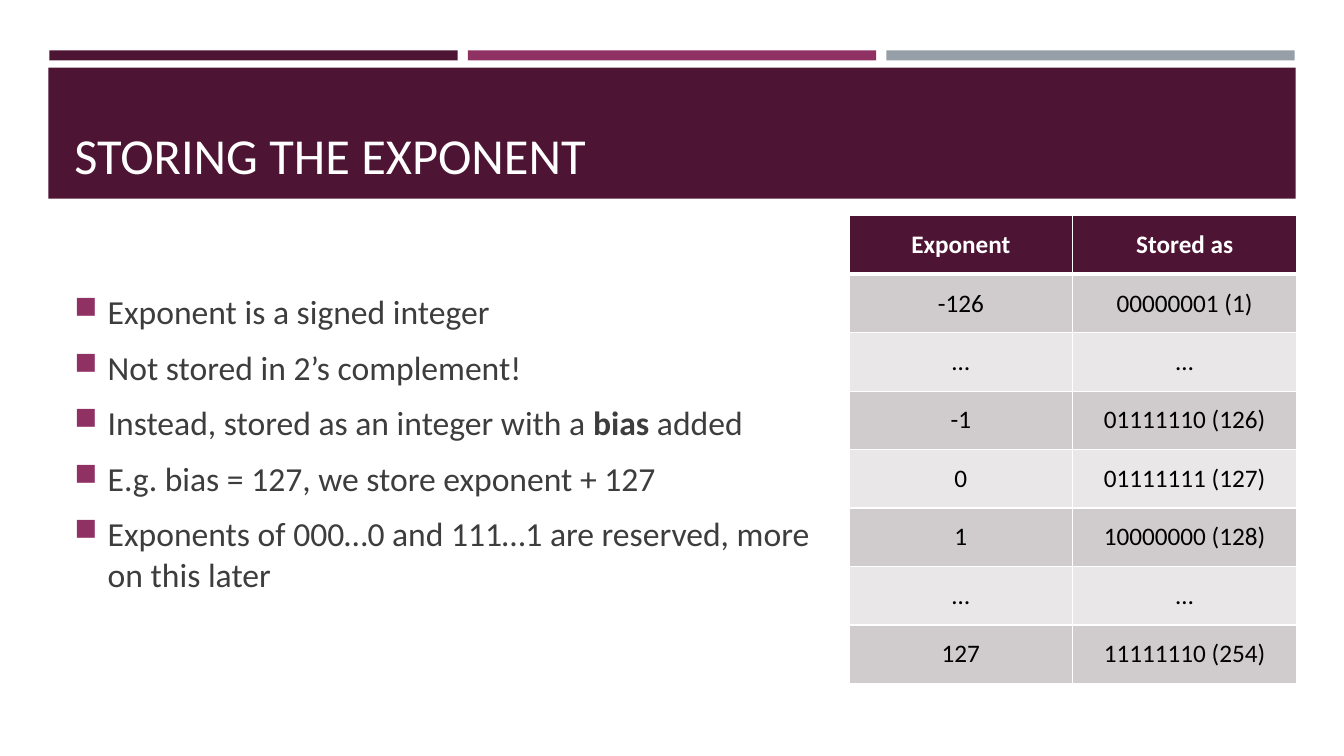
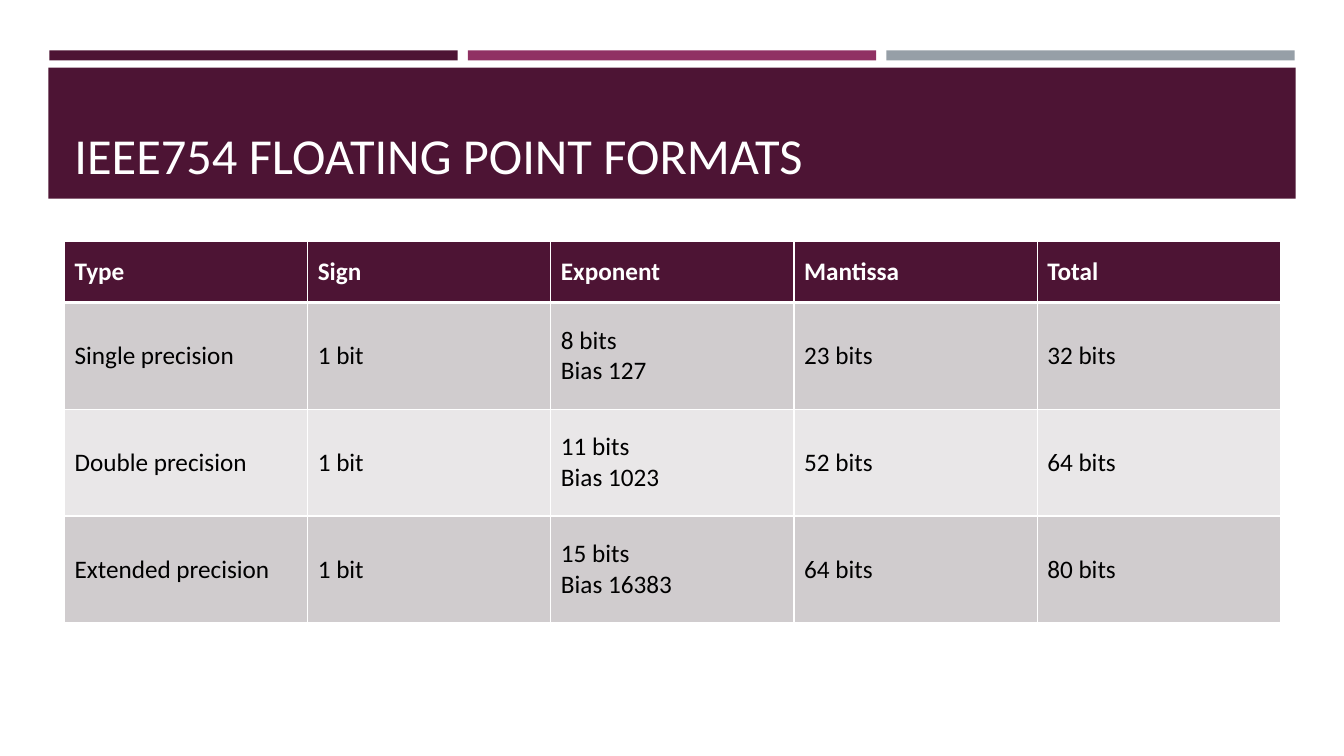
import lxml.etree
import pptx
import pptx.dml.color
import pptx.enum.shapes
import pptx.enum.text
import pptx.oxml.ns
import pptx.util
from pptx.util import Inches

FONT = "Calibri"
WHITE, BLACK, GREY_TEXT = "FFFFFF", "000000", "3D3D3D"
PLUM, MAGENTA, STEEL = "4D1434", "903163", "969FA7"
ROW_FILLS = ["D0CCCE", "E9E7E8"]
LEFT, CENTER = pptx.enum.text.PP_ALIGN.LEFT, pptx.enum.text.PP_ALIGN.CENTER
MIDDLE, BOTTOM = pptx.enum.text.MSO_ANCHOR.MIDDLE, pptx.enum.text.MSO_ANCHOR.BOTTOM


def paint(fill, color):
    fill.solid()
    fill.fore_color.rgb = pptx.dml.color.RGBColor.from_string(color)


def write_text(frame, text, size=18, color=BLACK, bold=False, align=LEFT, bullet=False):
    """Write one paragraph per line; words between ** marks are bold."""
    frame.word_wrap = True
    for index, line in enumerate(text.split("\n")):
        paragraph = frame.add_paragraph() if index else frame.paragraphs[0]
        paragraph.alignment = align
        if bullet:
            properties = paragraph._p.get_or_add_pPr()
            properties.set("marL", str(Inches(0.33)))
            properties.set("indent", str(Inches(-0.33)))
            bullet_color = lxml.etree.SubElement(properties, pptx.oxml.ns.qn("a:buClr"))
            lxml.etree.SubElement(bullet_color, pptx.oxml.ns.qn("a:srgbClr"), val=MAGENTA)
            lxml.etree.SubElement(properties, pptx.oxml.ns.qn("a:buSzPct"), val="92000")
            lxml.etree.SubElement(properties, pptx.oxml.ns.qn("a:buChar"), char="■")
            paragraph.space_before = pptx.util.Pt(0.2 * size if index else 0)
            paragraph.space_after = pptx.util.Pt(6)
        for part, words in enumerate(line.split("**")):
            run = paragraph.add_run()
            run.text = words
            run.font.name = FONT
            run.font.size = pptx.util.Pt(size)
            run.font.bold = bold or part % 2 == 1
            paint(run.font.fill, color)


exponent_bullets = """Exponent is a signed integer
Not stored in 2’s complement!
Instead, stored as an integer with a **bias** added
E.g. bias = 127, we store exponent + 127
Exponents of 000…0 and 111…1 are reserved, more on this later"""

exponent_rows = [
    ("Exponent", "Stored as"),
    ("-126", "00000001 (1)"),
    ("…", "…"),
    ("-1", "01111110 (126)"),
    ("0", "01111111 (127)"),
    ("1", "10000000 (128)"),
    ("…", "…"),
    ("127", "11111110 (254)"),
]

format_rows = [
    ("Type", "Sign", "Exponent", "Mantissa", "Total"),
    ("Single precision", "1 bit", "8 bits\nBias 127", "23 bits", "32 bits"),
    ("Double precision", "1 bit", "11 bits\nBias 1023", "52 bits", "64 bits"),
    ("Extended precision", "1 bit", "15 bits\nBias 16383", "64 bits", "80 bits"),
]

# Title, bullets, table rows, table place, header height, row height, cell alignment
slides = [
    ("STORING THE EXPONENT", exponent_bullets, exponent_rows,
     (8.42, 2.14, 4.44), 0.58, 0.58, CENTER),
    ("IEEE754 FLOATING POINT FORMATS", "", format_rows,
     (0.64, 2.39, 12.06), 0.61, 1.06, LEFT),
]

bands = [(0.49 + 4.15 * index, 0.5, 4.05, 0.1, color)
         for index, color in enumerate([PLUM, MAGENTA, STEEL])]
bands.append((0.48, 0.67, 12.37, 1.3, PLUM))

presentation = pptx.Presentation()
presentation.slide_width = Inches(13.33)
presentation.slide_height = Inches(7.5)

for title, bullets, rows, place, header_height, row_height, align in slides:
    slide = presentation.slides.add_slide(presentation.slide_layouts[6])

    for *box, color in bands:
        band = slide.shapes.add_shape(pptx.enum.shapes.MSO_SHAPE.RECTANGLE, *map(Inches, box))
        band.shadow.inherit = False
        band.line.fill.background()
        paint(band.fill, color)

    title_box = slide.shapes.add_textbox(*map(Inches, (0.64, 0.77, 12.06, 1.11)))
    title_box.text_frame.vertical_anchor = BOTTOM
    write_text(title_box.text_frame, title, size=36, color=WHITE)

    if bullets:
        body_box = slide.shapes.add_textbox(*map(Inches, (0.64, 2.38, 7.62, 4.02)))
        body_box.text_frame.vertical_anchor = MIDDLE
        write_text(body_box.text_frame, bullets, size=24, color=GREY_TEXT, bullet=True)

    left, top, width = place
    height = header_height + row_height * (len(rows) - 1)
    table = slide.shapes.add_table(len(rows), len(rows[0]), Inches(left), Inches(top),
                                   Inches(width), Inches(height)).table
    for row_index, row in enumerate(rows):
        header = row_index == 0
        table.rows[row_index].height = Inches(header_height if header else row_height)
        for column_index, text in enumerate(row):
            cell = table.cell(row_index, column_index)
            cell.vertical_anchor = MIDDLE
            write_text(cell.text_frame, text, color=WHITE if header else BLACK,
                       bold=header, align=align)
            paint(cell.fill, PLUM if header else ROW_FILLS[(row_index - 1) % 2])

            # The rule under the header is thicker than the other borders
            widths = {"lnL": 1, "lnR": 1, "lnT": 3 if row_index == 1 else 1,
                      "lnB": 3 if header else 1}
            properties = cell._tc.get_or_add_tcPr()
            for position, (side, points) in enumerate(widths.items()):
                border = lxml.etree.Element(pptx.oxml.ns.qn("a:" + side),
                                            w=str(pptx.util.Pt(points)))
                border_fill = lxml.etree.SubElement(border, pptx.oxml.ns.qn("a:solidFill"))
                lxml.etree.SubElement(border_fill, pptx.oxml.ns.qn("a:srgbClr"), val=WHITE)
                properties.insert(position, border)

presentation.save("out.pptx")
